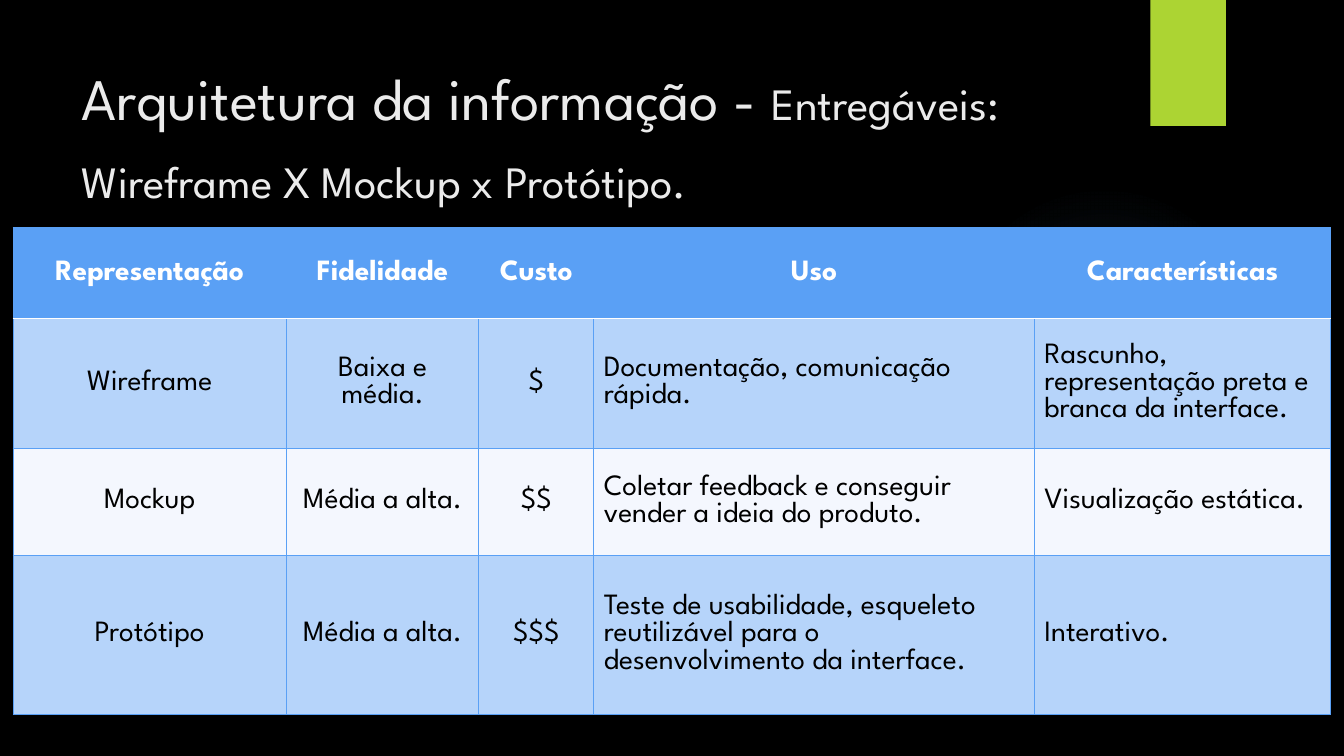
"""Builds the slide comparing wireframe, mockup and prototype deliverables."""
from lxml.etree import SubElement
from pptx import Presentation
from pptx.dml.color import RGBColor
from pptx.enum.shapes import MSO_SHAPE
from pptx.enum.text import MSO_ANCHOR, PP_ALIGN
from pptx.oxml import parse_xml
from pptx.oxml.ns import nsdecls, qn
from pptx.util import Inches, Pt

COLORS = {
    "background": "000000", "title": "EBEBEB", "accent": "ACD433", "glow": "7AC4F0",
    "blue": "5AA0F5", "band": "B6D4FA", "plain": "F4F7FE", "white": "FFFFFF", "text": "000000",
}
FONT = "League Spartan"
COLUMN_WIDTHS = [2.71, 1.91, 1.14, 4.37, 2.94]
ROW_HEIGHTS = [0.9, 1.29, 1.06, 1.58]
ROW_FILLS = ["blue", "band", "plain", "band"]
DELIVERABLES = [
    ["Representação", "Fidelidade", "Custo", "Uso", "Características"],
    ["Wireframe", "Baixa e média.", "$", "Documentação, comunicação rápida.",
     "Rascunho, representação preta e branca da interface."],
    ["Mockup", "Média a alta.", "$$", "Coletar feedback e conseguir vender a ideia do produto.",
     "Visualização estática."],
    ["Protótipo", "Média a alta.", "$$$",
     "Teste de usabilidade, esqueleto reutilizável para o desenvolvimento da interface.",
     "Interativo."],
]


def style_run(run, size, color, bold=False):
    run.font.name = FONT
    run.font.size = Pt(size)
    run.font.bold = bold
    run.font.color.rgb = RGBColor.from_string(COLORS[color])


def add_border(cell, side, color, width):
    line = SubElement(cell._tc.get_or_add_tcPr(), qn(f"a:ln{side}"), w=str(Pt(width)))
    solid = SubElement(line, qn("a:solidFill"))
    SubElement(solid, qn("a:srgbClr"), val=COLORS[color])


prs = Presentation()
prs.slide_width = Inches(13.33)
prs.slide_height = Inches(7.5)
slide = prs.slides.add_slide(prs.slide_layouts[5])
slide.background.fill.solid()
slide.background.fill.fore_color.rgb = RGBColor.from_string(COLORS["background"])

glow = slide.shapes.add_shape(
    MSO_SHAPE.OVAL, Inches(9.41), Inches(1.83), Inches(3.08), Inches(3.08))
glow.shadow.inherit = False
glow.line.fill.background()
stops = "".join(
    f'<a:gs pos="{position * 1000}"><a:srgbClr val="{COLORS["glow"]}">'
    f'<a:alpha val="{opacity * 1000}"/></a:srgbClr></a:gs>'
    for position, opacity in [(0, 7), (36, 6), (69, 0), (100, 0)])
glow._element.spPr.find(qn("a:prstGeom")).addnext(parse_xml(
    f'<a:gradFill {nsdecls("a")}><a:gsLst>{stops}</a:gsLst><a:path path="circle">'
    '<a:fillToRect l="50000" t="50000" r="50000" b="50000"/></a:path></a:gradFill>'))

accent = slide.shapes.add_shape(
    MSO_SHAPE.RECTANGLE, Inches(11.41), Inches(0), Inches(0.75), Inches(1.25))
accent.shadow.inherit = False
accent.fill.solid()
accent.fill.fore_color.rgb = RGBColor.from_string(COLORS["accent"])
accent.line.fill.background()

table = slide.shapes.add_table(
    len(ROW_HEIGHTS), len(COLUMN_WIDTHS),
    Inches(0.13), Inches(2.26), Inches(13.07), Inches(4.83)).table
for column, width in zip(table.columns, COLUMN_WIDTHS):
    column.width = Inches(width)
for row, height in zip(table.rows, ROW_HEIGHTS):
    row.height = Inches(height)

for r, (texts, fill) in enumerate(zip(DELIVERABLES, ROW_FILLS)):
    header = r == 0
    for c, text in enumerate(texts):
        cell = table.cell(r, c)
        cell.vertical_anchor = MSO_ANCHOR.MIDDLE
        paragraph = cell.text_frame.paragraphs[0]
        paragraph.text = text
        paragraph.alignment = PP_ALIGN.CENTER if header or c < 3 else PP_ALIGN.LEFT
        style_run(paragraph.runs[0], 21, "white" if header else "text", header)
        for side in "LRTB":
            divider = (header and side == "B") or (r == 1 and side == "T")
            add_border(cell, side, "white" if divider else "blue", 1.5 if divider else 0.75)
        cell.fill.solid()
        cell.fill.fore_color.rgb = RGBColor.from_string(COLORS[fill])

title = slide.shapes.title
title.left, title.top = Inches(0.71), Inches(0.5)
title.width, title.height = Inches(10.6), Inches(1.39)
title.text_frame.word_wrap = True
title.text_frame.vertical_anchor = MSO_ANCHOR.MIDDLE
heading = title.text_frame.paragraphs[0]
heading.alignment = PP_ALIGN.LEFT
heading.line_spacing = 1.4
for text, size in [("Arquitetura da informação - ", 42),
                   ("Entregáveis: Wireframe X Mockup x Protótipo.", 32)]:
    part = heading.add_run()
    part.text = text
    style_run(part, size, "title")

prs.save("out.pptx")
